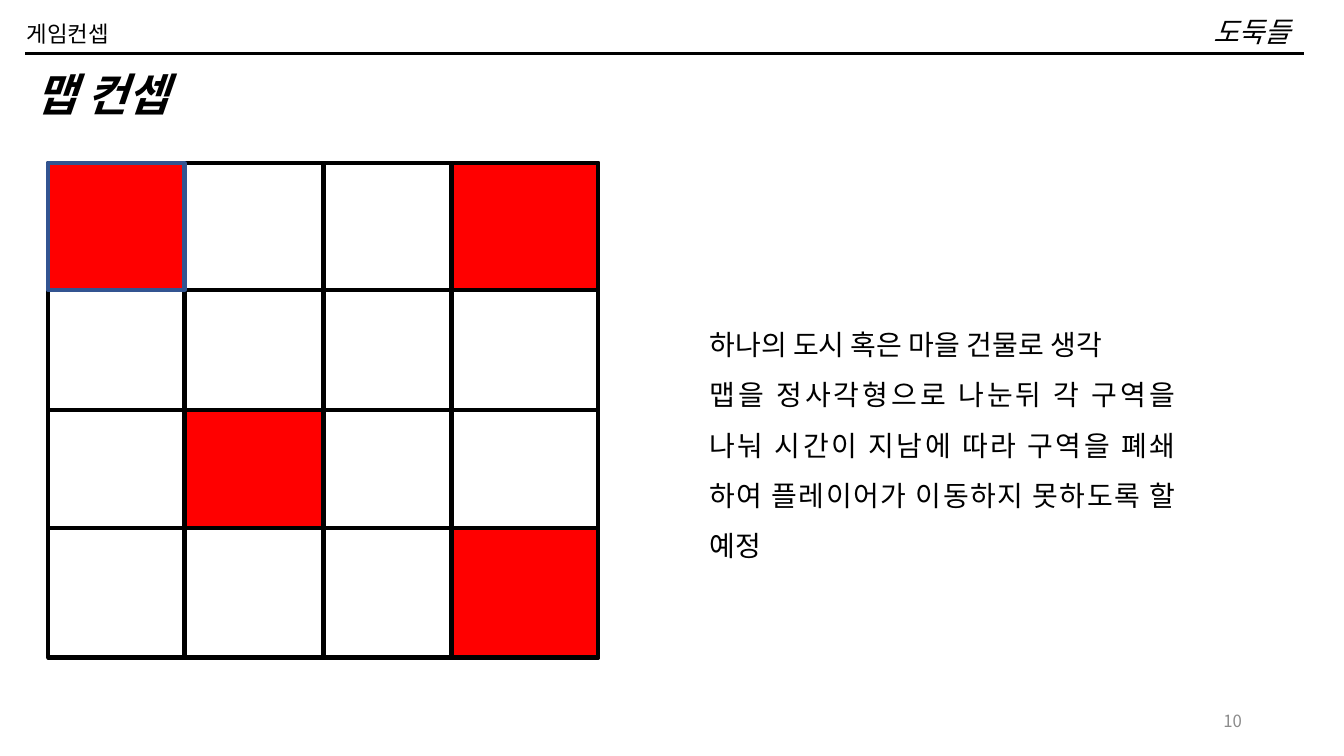
from lxml import etree
from pptx import Presentation
from pptx.dml.color import RGBColor
from pptx.enum import shapes, text
from pptx.oxml import ns
from pptx.util import Cm, Pt

FONT = "Noto Sans CJK KR"
COLORS = {"ink": "000000", "paper": "FFFFFF", "closed": "FF0000", "start": "325491", "number": "8C8C8C"}
COLUMNS = [0, 3.43, 6.93, 10.16, 13.86]
ROWS = [0, 3.2, 6.23, 9.19, 12.46]
CLOSED_ZONES = [(0, 0, "start"), (3, 3, "ink"), (3, 0, "ink"), (1, 2, "ink")]
MAP_NOTES = [
    "하나의 도시 혹은 마을 건물로 생각",
    "맵을 정사각형으로 나눈뒤 각 구역을 나눠 시간이 지남에 따라 구역을 폐쇄 하여 플레이어가 이동하지 못하도록 할 예정",
]


def color(name):
    return RGBColor.from_string(COLORS[name])


def write(box, lines, size, align=text.PP_ALIGN.LEFT, spacing=1.0, ink="ink",
          anchor=text.MSO_ANCHOR.TOP, bold=False, italic=False, wrap=True):
    frame = box.text_frame
    frame.text = "\n".join(lines)
    frame.word_wrap = wrap
    frame.auto_size = text.MSO_AUTO_SIZE.NONE
    frame.vertical_anchor = anchor
    for para in frame.paragraphs:
        para.alignment = align
        para.line_spacing = spacing
        para.space_before = Pt(0)
        font = para.font
        font.name, font.size = FONT, Pt(size)
        font.bold, font.italic = bold, italic
        font.color.rgb = color(ink)
        properties = para._p.pPr.find(ns.qn("a:defRPr"))
        etree.SubElement(properties, ns.qn("a:ea")).set("typeface", FONT)


def add_text(page, left, top, width, height, lines, size, **style):
    box = page.shapes.add_textbox(Cm(left), Cm(top), Cm(width), Cm(height))
    write(box, lines, size, **style)


def add_line(page, x1, y1, x2, y2, weight):
    line = page.shapes.add_connector(
        shapes.MSO_CONNECTOR.STRAIGHT, Cm(x1), Cm(y1), Cm(x2), Cm(y2))
    line.line.color.rgb = color("ink")
    line.line.width = Pt(weight)
    etree.SubElement(line._element.spPr, ns.qn("a:effectLst"))
    return line


def add_block(page, left, top, width, height, fill, outline):
    block = page.shapes.add_shape(
        shapes.MSO_SHAPE.RECTANGLE, Cm(left), Cm(top), Cm(width), Cm(height))
    block.shadow.inherit = False
    block.fill.solid()
    block.fill.fore_color.rgb = color(fill)
    block.line.color.rgb = color(outline)
    block.line.width = Pt(3)
    return block


def add_header(page, left, top, width):
    title = page.shapes.title
    title.left, title.top = Cm(left + width - 2.85), Cm(top - 1.02)
    title.width, title.height = Cm(3.05), Cm(1.02)
    write(title, ["도둑들"], 20, align=text.PP_ALIGN.CENTER, spacing=0.9,
          anchor=text.MSO_ANCHOR.BOTTOM, italic=True)
    add_line(page, left, top, left + width, top, 1.75)
    add_text(page, left - 0.21, top - 0.97, 2.59, 0.94, ["게임컨셉"], 16, wrap=False)
    add_text(page, left, top + 0.2, 11.76, 1.63, ["맵 컨셉"], 32, bold=True, italic=True)


def add_map(page, left, top):
    width, height = COLUMNS[-1], ROWS[-1]
    board = add_block(page, left, top, width, height, "paper", "ink")
    middle = len(COLUMNS) // 2
    for index in range(1, len(COLUMNS) - 1):
        x, y = left + COLUMNS[index], top + ROWS[index]
        across = add_line(page, left, y, left + width, y, 3)
        down = add_line(page, x, top, x, top + height, 3)
        if index == middle:
            across.begin_connect(board, 1)
            across.end_connect(board, 3)
            down.begin_connect(board, 0)
            down.end_connect(board, 2)
    for column, row, outline in CLOSED_ZONES:
        add_block(page, left + COLUMNS[column], top + ROWS[row],
                  COLUMNS[column + 1] - COLUMNS[column],
                  ROWS[row + 1] - ROWS[row], "closed", outline)


def main():
    deck = Presentation()
    deck.slide_width, deck.slide_height = Cm(33.87), Cm(19.05)
    page = deck.slides.add_slide(deck.slide_layouts[5])
    add_header(page, 0.64, 1.35, 32.23)
    add_map(page, 1.22, 4.11)
    add_text(page, 17.63, 7.7, 12.24, 5.26, MAP_NOTES, 20,
             align=text.PP_ALIGN.JUSTIFY, spacing=1.5)
    add_text(page, 23.93, 17.65, 7.62, 1.02, ["10"], 12, align=text.PP_ALIGN.RIGHT,
             ink="number", anchor=text.MSO_ANCHOR.MIDDLE)
    deck.save("out.pptx")


if __name__ == "__main__":
    main()
